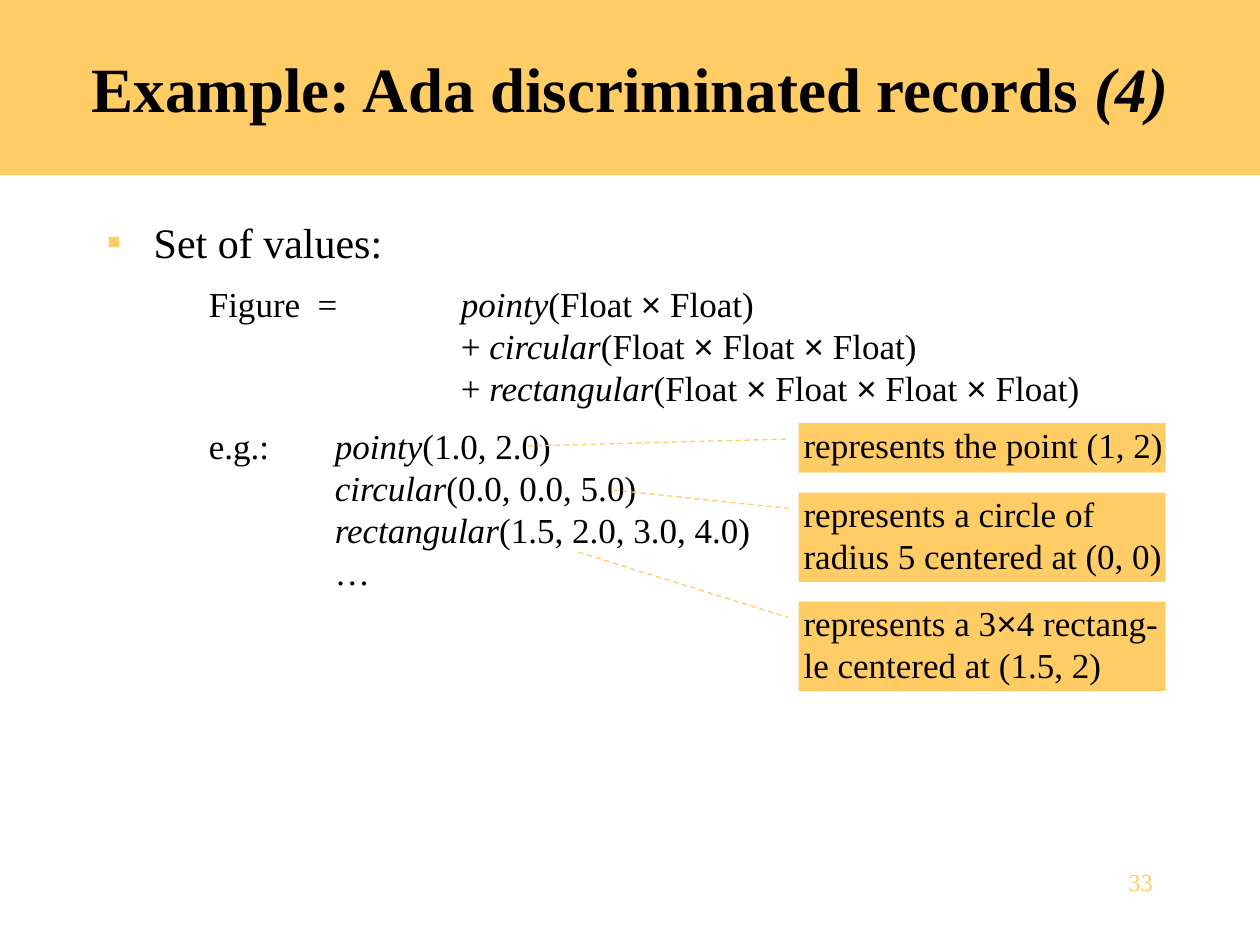
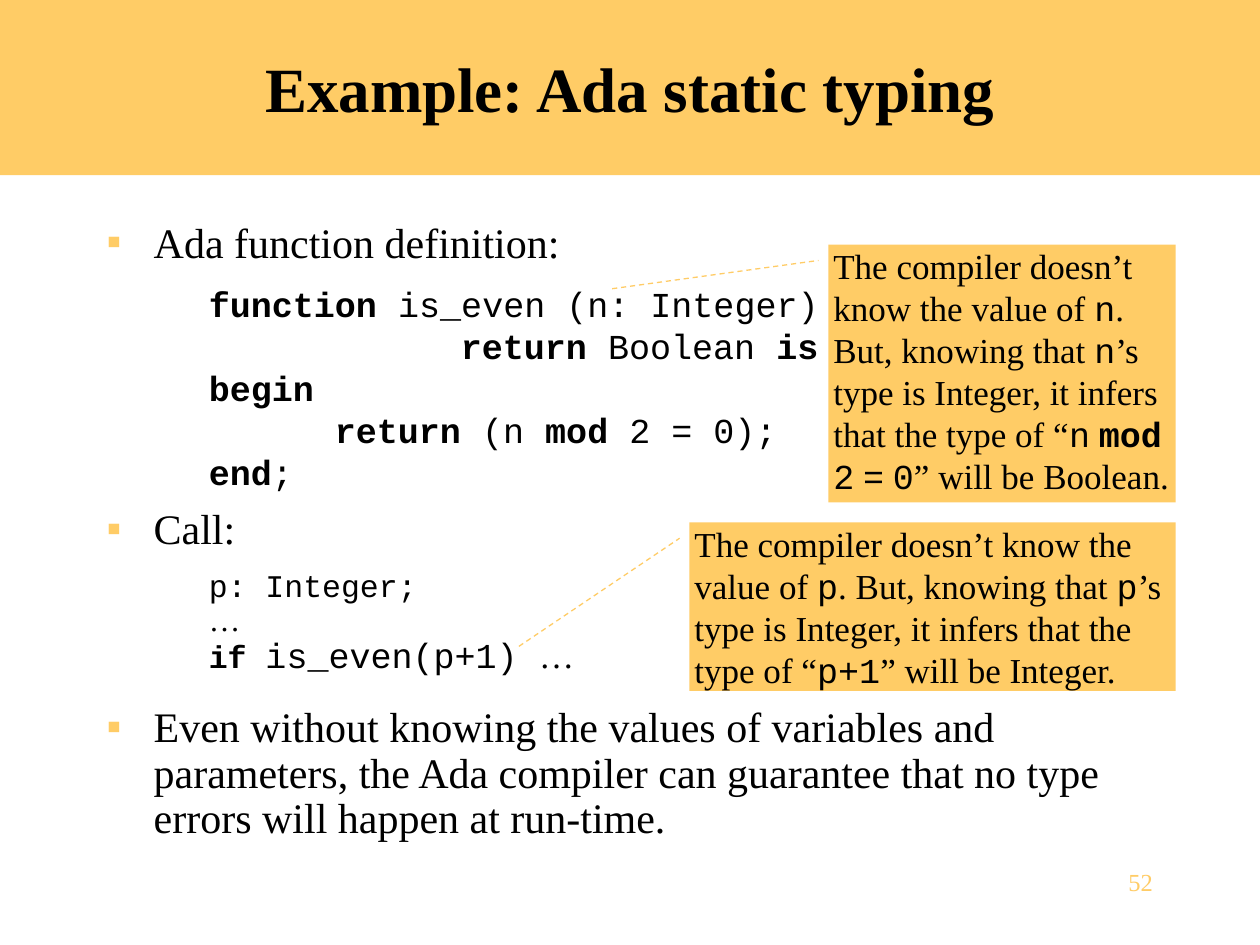
from itertools import groupby

from lxml import etree
from pptx import Presentation, util as u
from pptx.dml.color import RGBColor
from pptx.enum import dml, shapes, text
from pptx.oxml.ns import qn

Cm, Pt = u.Cm, u.Pt

COLORS = {"accent": "FFCC66", "ink": "000000", "page": "FFFFFF"}
SERIF, SANS, MONO = "Times New Roman", "Arial", "Courier New"

# Run formats used by the content
I = {"italic": True}
B = {"bold": True}
CODE = {"font": MONO}
KEY = {"font": MONO, "bold": True}
SMALL = {"size": 18}


def rgb(name):
    return RGBColor.from_string(COLORS[name])


def add_text(p, content, size=20, font=SERIF, color="ink", bold=False, italic=False):
    """Append text to a paragraph; newlines become breaks, × is set in sans."""
    for n, line in enumerate(content.split("\n")):
        if n:
            p.add_line_break()
        for is_times, chars in groupby(line, key=lambda ch: ch == "×"):
            r = p.add_run()
            r.text = "".join(chars)
            f = r.font
            f.name = SANS if is_times else font
            f.size, f.bold, f.italic = Pt(size), bold, italic
            f.color.rgb = rgb(color)


def add_parts(p, parts, **base):
    """Append a list of plain strings and (string, format) pairs."""
    for part in parts:
        content, fmt = (part, {}) if isinstance(part, str) else part
        add_text(p, content, **{**base, **fmt})


class Deck:
    def __init__(self):
        self.prs = Presentation()
        self.prs.slide_width, self.prs.slide_height = Cm(25.4), Cm(19.05)
        self.s = None

    def slide(self, title, number):
        self.s = self.prs.slides.add_slide(self.prs.slide_layouts[6])
        self.s.background.fill.solid()
        self.s.background.fill.fore_color.rgb = rgb("page")
        # Title band
        tf = self.block(0, 0, 25.4, 3.53)
        tf.vertical_anchor = text.MSO_ANCHOR.MIDDLE
        tf.paragraphs[0].alignment = text.PP_ALIGN.CENTER
        add_parts(tf.paragraphs[0], title, size=36, bold=True)
        # Page number
        p = self.textbox(18.21, 17.35, 5.28, 1.27).paragraphs[0]
        p.alignment = text.PP_ALIGN.RIGHT
        add_text(p, number, size=14, color="accent")

    def block(self, x, y, w, h):
        sp = self.s.shapes.add_shape(
            shapes.MSO_SHAPE.RECTANGLE, Cm(x), Cm(y), Cm(w), Cm(h))
        sp.shadow.inherit = False
        sp.fill.solid()
        sp.fill.fore_color.rgb = rgb("accent")
        sp.line.fill.background()
        return sp.text_frame

    def textbox(self, x, y, w, h):
        tf = self.s.shapes.add_textbox(Cm(x), Cm(y), Cm(w), Cm(h)).text_frame
        tf.word_wrap = True
        return tf

    def body(self, top, height, heading, *examples, spacing=None):
        """A bulleted heading followed by indented example paragraphs."""
        tf = self.textbox(1.9, top, 21.59, height)
        p = tf.paragraphs[0]
        pPr = p._p.get_or_add_pPr()
        pPr.set("marL", str(Cm(0.95)))
        pPr.set("indent", str(Cm(-0.95)))
        clr = etree.SubElement(pPr, qn("a:buClr"))
        etree.SubElement(clr, qn("a:srgbClr"), val=COLORS["accent"])
        etree.SubElement(pPr, qn("a:buFont"), typeface=SERIF)
        etree.SubElement(pPr, qn("a:buChar"), char="▪")
        p.line_spacing = spacing
        add_text(p, heading, size=24)
        for parts in examples:
            p = tf.add_paragraph()
            pPr = p._p.get_or_add_pPr()
            pPr.set("marL", str(Cm(2.06)))
            pPr.set("indent", "0")
            pPr.set("defTabSz", str(Cm(2.54)))
            p.space_before, p.line_spacing = Pt(9), spacing
            add_parts(p, parts)

    def leader(self, start, end):
        ln = self.s.shapes.add_connector(
            shapes.MSO_CONNECTOR.STRAIGHT, *map(Cm, start + end))
        ln.line.color.rgb = rgb("accent")
        ln.line.width = Pt(0.75)
        ln.line.dash_style = dml.MSO_LINE.DASH
        etree.SubElement(ln._element.spPr, qn("a:effectLst"))

    def callouts(self, right, top, notes, gap=0.4):
        """Stack right-aligned notes, each with a leader from its target."""
        for width, height, target, parts in notes:
            left = right - width
            tf = self.block(left, top, width, height)
            tf.word_wrap = True
            tf.vertical_anchor = text.MSO_ANCHOR.TOP
            tf.margin_left = Cm(0.1)
            tf.margin_right = tf.margin_top = tf.margin_bottom = 0
            tf.paragraphs[0].alignment = text.PP_ALIGN.LEFT
            add_parts(tf.paragraphs[0], parts)
            self.leader(target, (left - 0.2, top + 0.32))
            top += height + gap


def records_slide(deck):
    deck.slide(["Example: Ada discriminated records ", ("(4)", I)], "33")
    deck.body(
        4.24, 12.9, "Set of values:",
        ["Figure  =\t", ("pointy", I), "(Float × Float)\n\t\t+ ",
         ("circular", I), "(Float × Float × Float)\n\t\t+ ",
         ("rectangular", I), "(Float × Float × Float × Float)"],
        ["e.g.:\t", ("pointy", I), "(1.0, 2.0)\n\t",
         ("circular", I), "(0.0, 0.0, 5.0)\n\t",
         ("rectangular", I), "(1.5, 2.0, 3.0, 4.0)\n\t…"])
    deck.callouts(23.5, 8.53, [
        (7.4, 1, (10.64, 8.99), ["represents the point (1, 2)"]),
        (7.4, 1.8, (12.37, 9.88),
         ["represents a circle of radius 5 centered at (0, 0)"]),
        (7.4, 1.8, (11.66, 11.13),
         ["represents a 3×4 rectang-le centered at (1.5, 2)"]),
    ])


def typing_slide(deck):
    deck.slide(["Example: Ada static typing"], "52")
    deck.body(
        4.24, 12.9, "Ada function definition:",
        [("function", KEY), (" is_even (n: Integer)\n\t\t", CODE),
         ("return", KEY), (" Boolean ", CODE),
         ("is\nbegin\n\treturn", KEY), (" (n ", CODE),
         ("mod", KEY), (" 2 = 0);\n", CODE), ("end", KEY), (";", CODE)])

    def note(name, expression):
        return ["The compiler doesn’t know the value of ", (name, CODE),
                ". But, knowing that ", (name, CODE),
                "’s type is Integer, it infers that the type of “",
                *expression]

    deck.callouts(23.7, 4.93, [
        (7, 5.2, (12.34, 5.82),
         note("n", [("n", CODE), " ", ("mod", KEY), " ", ("2", CODE), " ",
                    ("=", CODE), " ", ("0", CODE), "” will be Boolean."])),
        (9.8, 3.4, (10.46, 13.03),
         note("p", [("p+1", CODE), "” will be Integer."])),
    ])
    deck.body(
        10.13, 7.01, "Call:",
        [("p: Integer;\n", {**CODE, **SMALL}), ("…\n", SMALL),
         ("if ", {**KEY, **SMALL}), ("is_even(p+1) ", CODE), "…"],
        spacing=0.9)
    deck.body(
        14.12, 3, "Even without knowing the values of variables and "
        "parameters, the Ada compiler can guarantee that no type errors "
        "will happen at run-time.", spacing=0.9)


def main():
    deck = Deck()
    records_slide(deck)
    typing_slide(deck)
    deck.prs.save("out.pptx")


if __name__ == "__main__":
    main()
